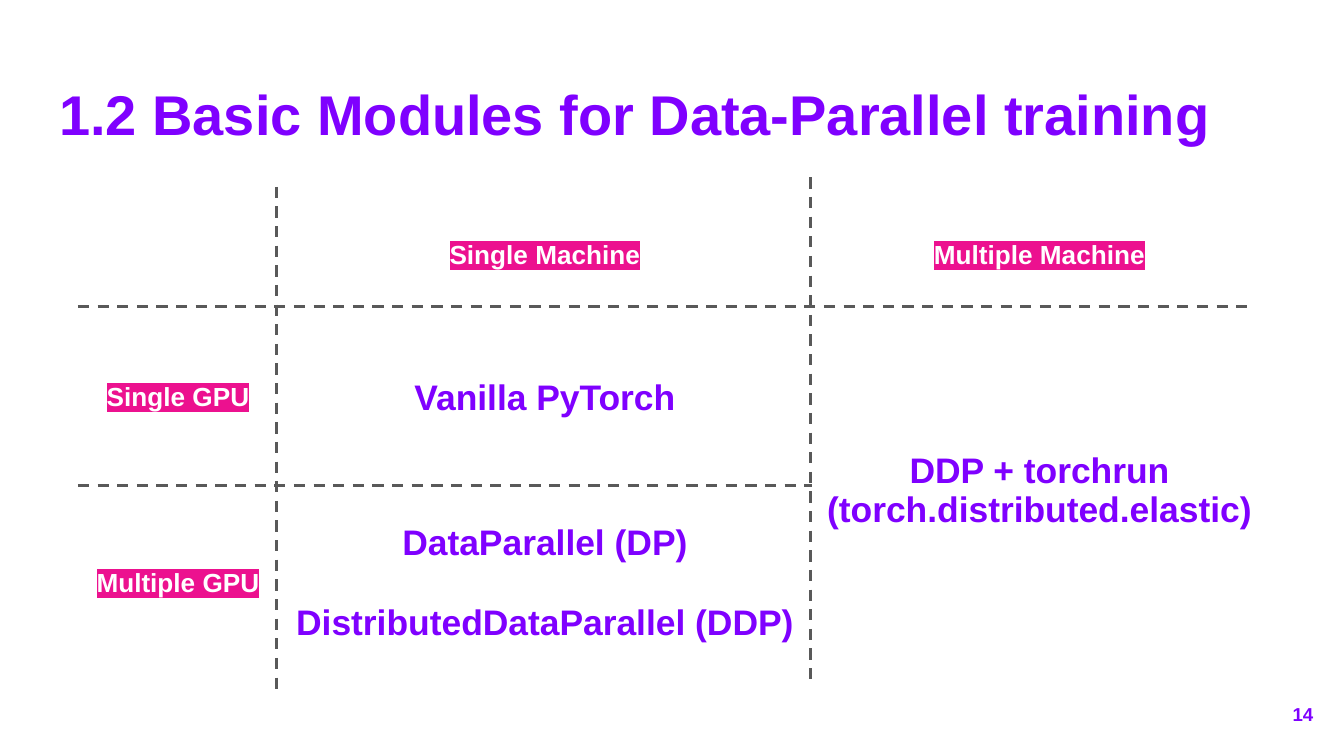
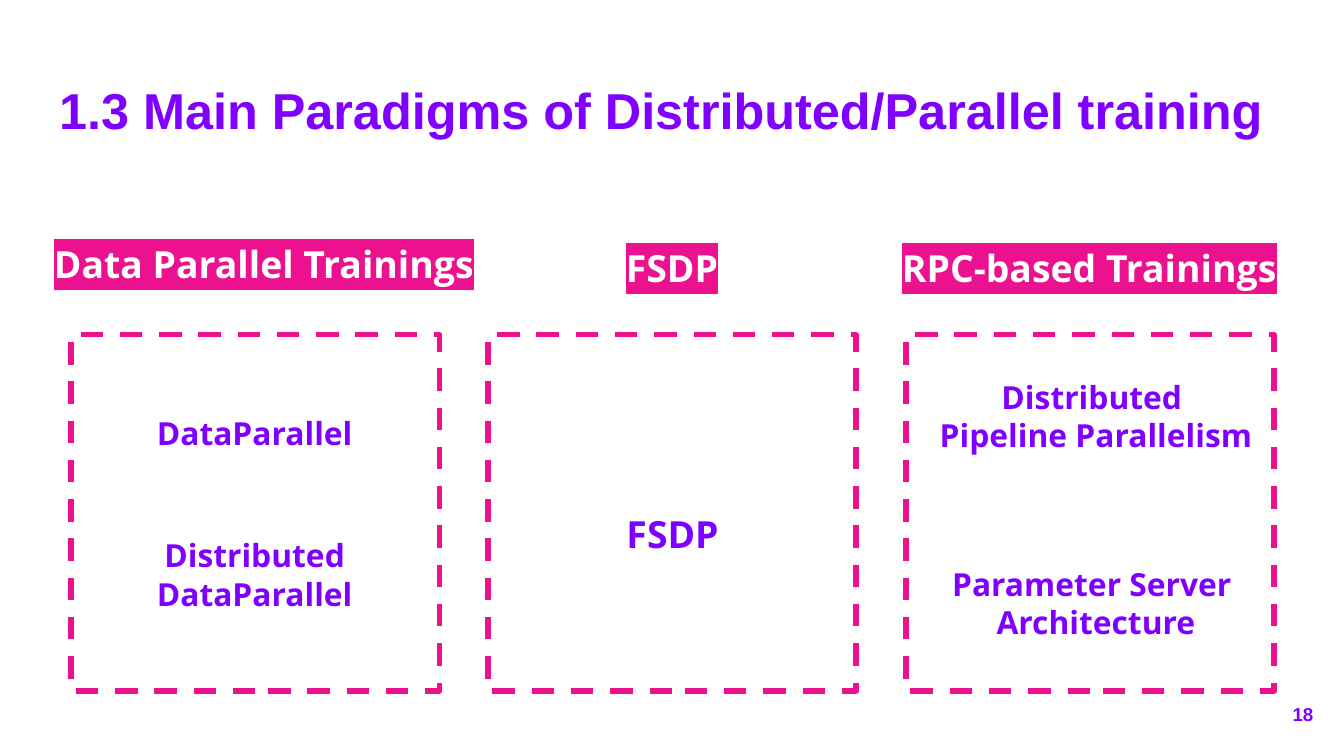
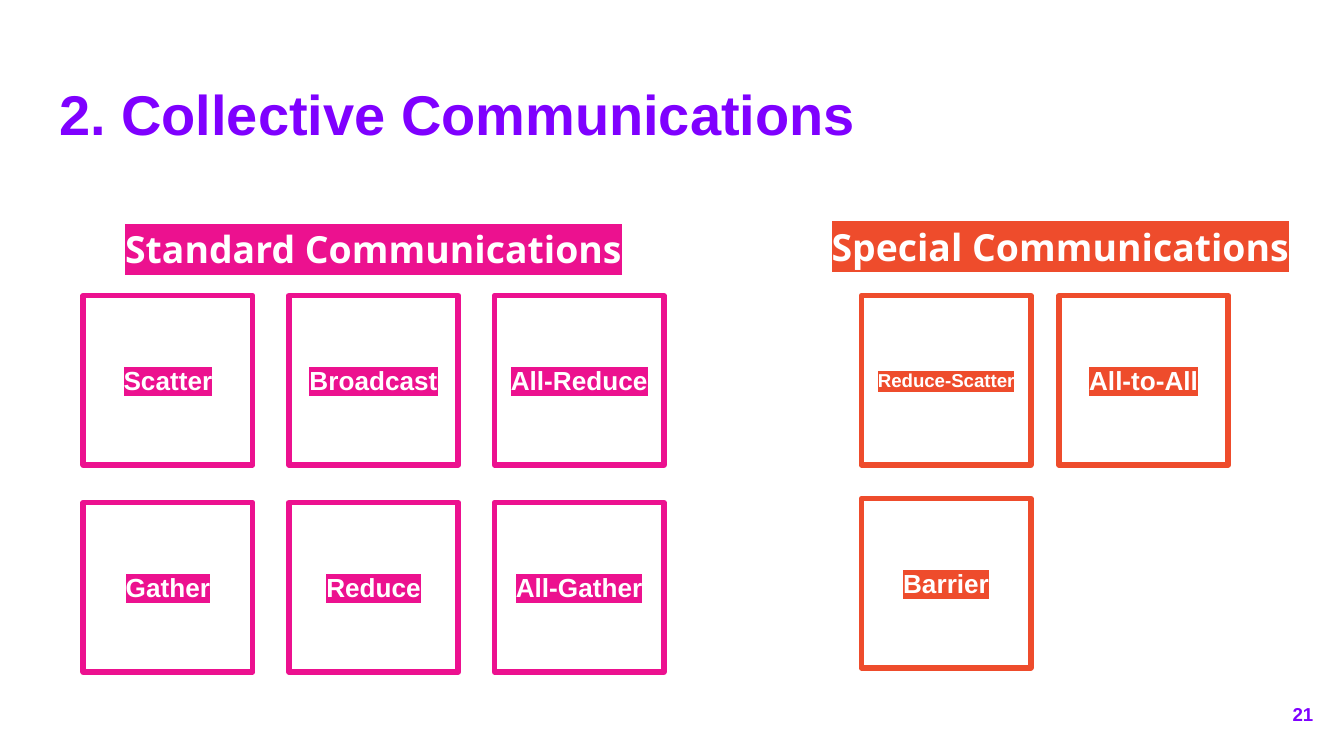
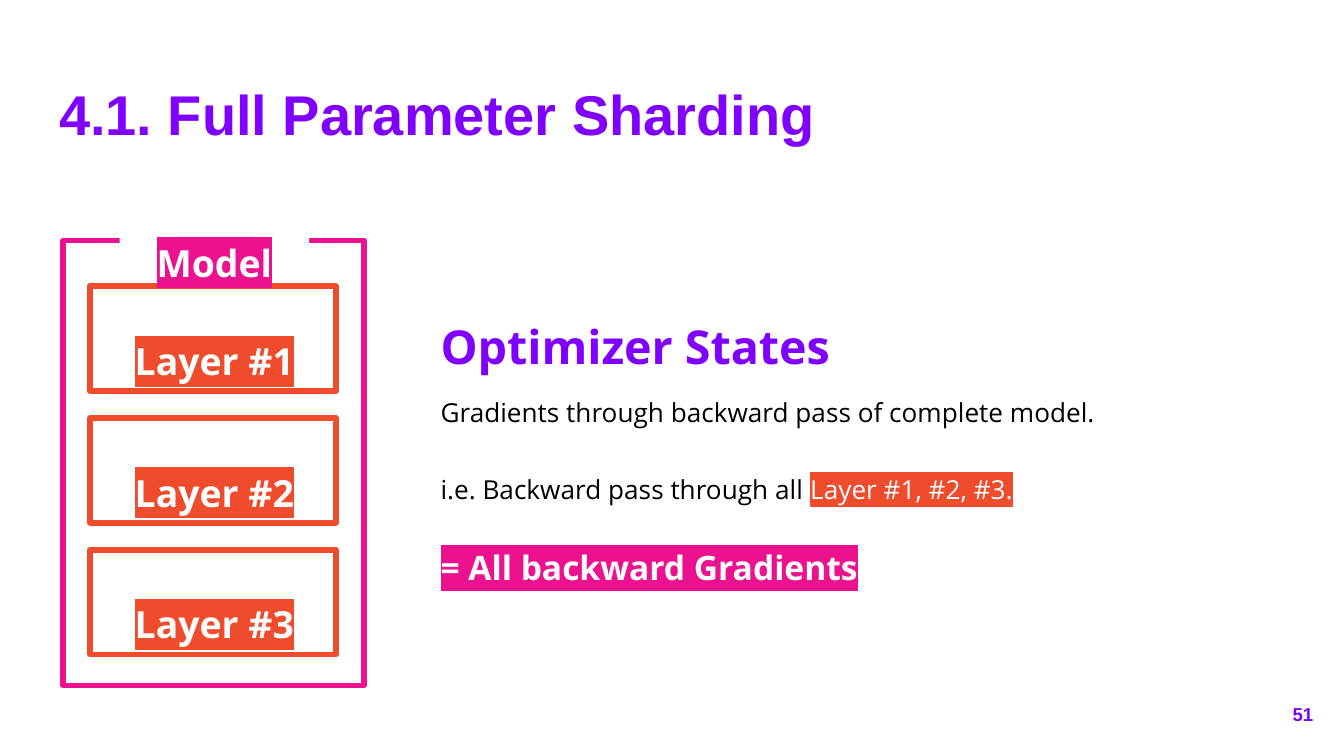
"""Build four slides on distributed training: modules, paradigms, collectives and sharding."""
from lxml.etree import SubElement
from pptx import Presentation
from pptx.dml.color import RGBColor
from pptx.enum.dml import MSO_LINE
from pptx.enum.shapes import MSO_CONNECTOR, MSO_SHAPE
from pptx.enum.text import MSO_ANCHOR as ANCHOR, MSO_AUTO_SIZE, PP_ALIGN as ALIGN
from pptx.oxml.ns import qn
from pptx.util import Pt

PX = 9144
INSET = 10 * PX
VIOLET = RGBColor(0x7F, 0x00, 0xFF)
PINK = RGBColor(0xEC, 0x11, 0x8F)
ORANGE = RGBColor(0xEE, 0x4C, 0x2C)
GRAY = RGBColor(0x59, 0x59, 0x59)
WHITE = RGBColor(0xFF, 0xFF, 0xFF)
BLACK = RGBColor(0x00, 0x00, 0x00)
ARIAL = "Arial"
OPEN_SANS = "Open Sans"


def add_box(slide, x, y, width, height, outline=None, fill=None, dashed=False):
    """Add a rectangle, or a text box when it has neither outline nor fill."""
    place = [length * PX for length in (x, y, width, height)]
    if outline is None and fill is None:
        return slide.shapes.add_textbox(*place)
    box = slide.shapes.add_shape(MSO_SHAPE.RECTANGLE, *place)
    box.shadow.inherit = False
    if fill is None:
        box.fill.background()
    else:
        box.fill.solid()
        box.fill.fore_color.rgb = fill
    if outline is None:
        box.line.fill.background()
    else:
        box.line.color.rgb = outline
        box.line.width = Pt(3)
        if dashed:
            box.line.dash_style = MSO_LINE.DASH
    return box


def write(holder, text, size, color=WHITE, face=ARIAL, mark=None, align=ALIGN.CENTER,
          anchor=ANCHOR.TOP, spacing=1.0, before=0, bold=True, lead=None):
    """Add one paragraph to a shape or cell; mark highlights its last run."""
    frame = holder.text_frame
    area = holder if hasattr(holder, "margin_top") else frame
    area.margin_left = area.margin_right = area.margin_top = area.margin_bottom = INSET
    area.vertical_anchor = anchor
    if area is frame:
        frame.word_wrap = True
        frame.auto_size = MSO_AUTO_SIZE.NONE
    paragraph = frame.add_paragraph() if frame.text else frame.paragraphs[0]
    paragraph.alignment = align
    paragraph.line_spacing = spacing
    paragraph.space_before = Pt(before)
    font = paragraph.font
    font.name, font.size, font.bold, font.color.rgb = face, Pt(size), bold, color
    if lead:
        paragraph.text = lead
        paragraph.runs[0].font.color.rgb = BLACK
        paragraph.add_run().text = text
    else:
        paragraph.text = text
    if mark is not None:
        highlight = SubElement(paragraph.runs[-1]._r.get_or_add_rPr(), qn("a:highlight"))
        SubElement(highlight, qn("a:srgbClr"), val=str(mark))


deck = Presentation()
deck.slide_width = 1000 * PX
deck.slide_height = deck.slide_width * 9 // 16

slides = []
for heading, heading_size, number in (
    ("1.2 Basic Modules for Data-Parallel training", 30, "14"),
    ("1.3 Main Paradigms of Distributed/Parallel training", 27, "18"),
    ("2. Collective Communications", 30, "21"),
    ("4.1. Full Parameter Sharding", 30, "51"),
):
    slide = deck.slides.add_slide(deck.slide_layouts[5])
    title = slide.shapes.title
    title.left, title.top, title.width, title.height = 34 * PX, 49 * PX, 932 * PX, 63 * PX
    write(title, heading, heading_size, VIOLET, align=ALIGN.LEFT)
    write(add_box(slide, 927, 510, 60, 43), number, 10, VIOLET,
          align=ALIGN.RIGHT, anchor=ANCHOR.MIDDLE)
    slides.append(slide)
modules, paradigms, collectives, sharding = slides

grid = modules.shapes.add_table(3, 3, 58 * PX, 153 * PX, 885 * PX, 350 * PX).table
grid.first_row = grid.horz_banding = False
for column, width in zip(grid.columns, (149, 397, 339)):
    column.width = width * PX
for row, height in zip(grid.rows, (74, 138, 138)):
    row.height = height * PX
for cell in grid.iter_cells():
    cell.fill.background()
grid.cell(1, 2).merge(grid.cell(2, 2))
for row, column, name in ((0, 1, "Single Machine"), (0, 2, "Multiple Machine"),
                          (1, 0, "Single GPU"), (2, 0, "Multiple GPU")):
    write(grid.cell(row, column), name, 14, mark=PINK, anchor=ANCHOR.MIDDLE)
for row, column, module, gap in (
    (1, 1, "Vanilla PyTorch", 0),
    (1, 2, "DDP + torchrun", 0),
    (1, 2, "(torch.distributed.elastic)", 0),
    (2, 1, "DataParallel (DP)", 0),
    (2, 1, "DistributedDataParallel (DDP)", 22),
):
    write(grid.cell(row, column), module, 19, VIOLET, anchor=ANCHOR.MIDDLE, before=gap)
for ends in ((58, 228, 933, 228), (206, 139, 206, 517),
             (603, 132, 603, 510), (58, 361, 604, 361)):
    divider = modules.shapes.add_connector(MSO_CONNECTOR.STRAIGHT, *[end * PX for end in ends])
    divider.line.color.rgb = GRAY
    divider.line.width = Pt(1.5)
    divider.line.dash_style = MSO_LINE.DASH
    SubElement(divider._element.spPr, qn("a:effectLst"))

for left in (53, 363, 674):
    add_box(paradigms, left, 249, 274, 265, PINK, dashed=True)
for x, y, width, family in ((16, 153, 361, "Data Parallel Trainings"),
                            (382, 156, 236, "FSDP"),
                            (630, 156, 361, "RPC-based Trainings")):
    write(add_box(paradigms, x, y, width, 54), family, 20,
          face=OPEN_SANS, mark=PINK, spacing=1.5)
for x, y, height, method, size, spacing in (
    (25, 284, 49, "DataParallel", 17, 1.5),
    (25, 389, 77, "Distributed\nDataParallel", 17, 1.0),
    (336, 354, 54, "FSDP", 20, 1.5),
    (651, 271, 77, "Distributed \nPipeline Parallelism", 17, 1.0),
    (651, 410, 77, "Parameter Server \nArchitecture", 17, 1.0),
):
    write(add_box(paradigms, x, y, 329, height), method, size, VIOLET,
          OPEN_SANS, spacing=spacing)

for group, color, label_x, label_y, left, step_x, step_y, operations in (
    ("Standard Communications", PINK, 81, 142, 62, 153, 154,
     (("Scatter", "Broadcast", "All-Reduce"), ("Gather", "Reduce", "All-Gather"))),
    ("Special Communications", ORANGE, 592, 140, 641, 147, 151,
     (("Reduce-Scatter", "All-to-All"), ("Barrier",))),
):
    for row, names in enumerate(operations):
        for column, operation in enumerate(names):
            tile = add_box(collectives, left + step_x * column, 220 + step_y * row,
                           126, 126, color)
            write(tile, operation, 10 if operation == "Reduce-Scatter" else 14,
                  mark=color, anchor=ANCHOR.MIDDLE)
    write(add_box(collectives, label_x, label_y, 394, 54), group, 20,
          face=OPEN_SANS, mark=color, spacing=1.5)

layer_tops = [213 + 98 * layer for layer in range(3)]
for top in layer_tops:
    add_box(sharding, 67, top, 183, 78, ORANGE)
add_box(sharding, 47, 179, 224, 331, PINK)
for top, part, color in ((152, "Model", PINK),
                         *((top + 12, f"Layer #{number}", ORANGE)
                           for number, top in enumerate(layer_tops, 1))):
    write(add_box(sharding, 89, top, 141, 54, fill=WHITE), part, 20,
          face=OPEN_SANS, mark=color, spacing=1.5)

states = add_box(sharding, 318, 206, 540, 230)
write(states, "Optimizer States", 25, VIOLET, OPEN_SANS, align=ALIGN.LEFT, spacing=1.5)
write(states, "Gradients through backward pass of complete model.", 14, BLACK, OPEN_SANS,
      align=ALIGN.LEFT, before=12, bold=False)
write(states, "Layer #1, #2, #3.", 14, WHITE, OPEN_SANS, ORANGE, ALIGN.LEFT,
      spacing=1.5, before=16, bold=False, lead="i.e. Backward pass through all ")
write(states, "= All backward Gradients", 18, WHITE, OPEN_SANS, PINK, ALIGN.LEFT,
      spacing=1.5, before=12)

deck.save("out.pptx")
